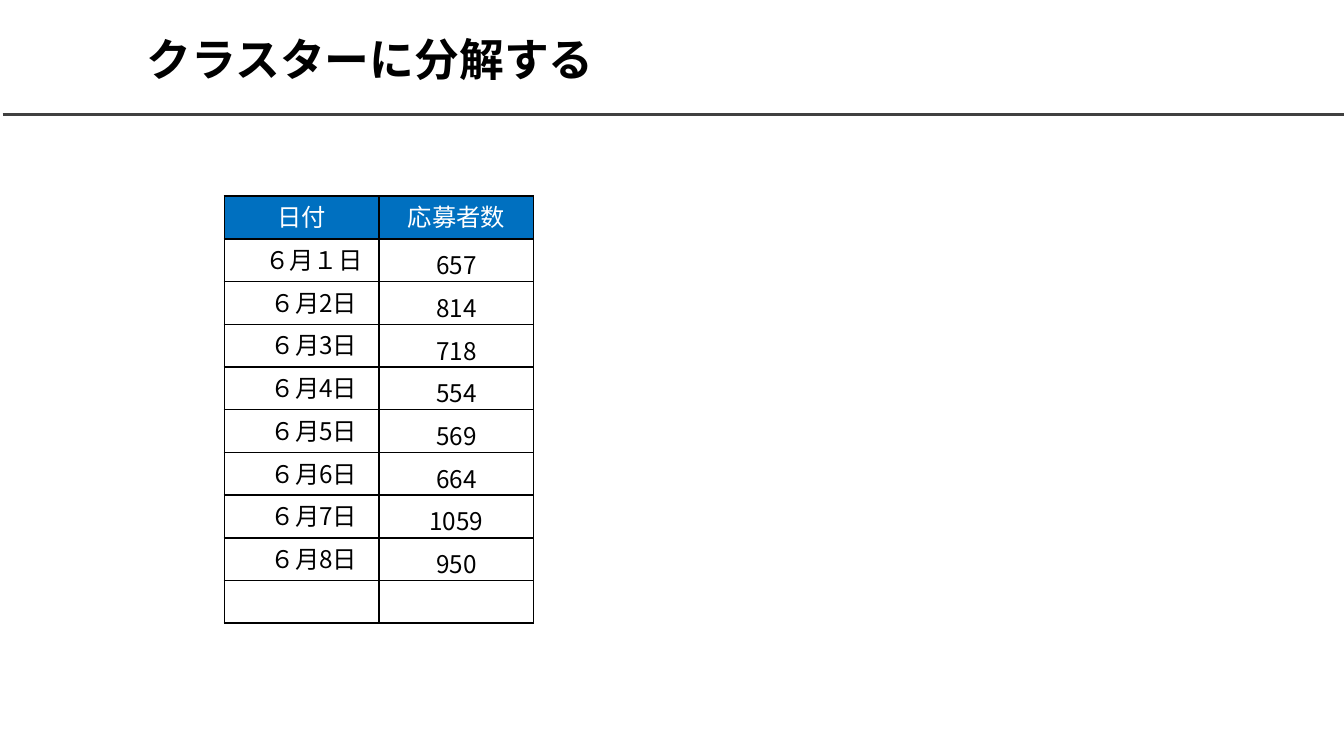
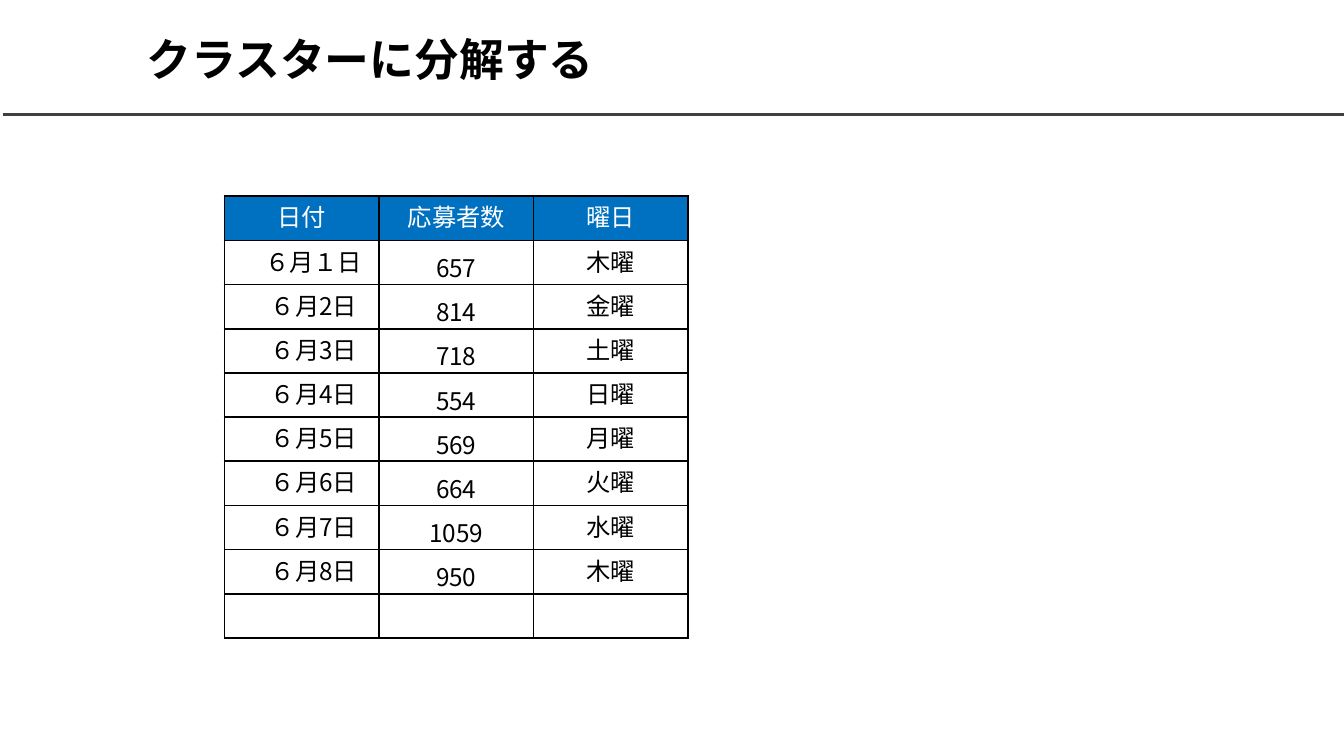
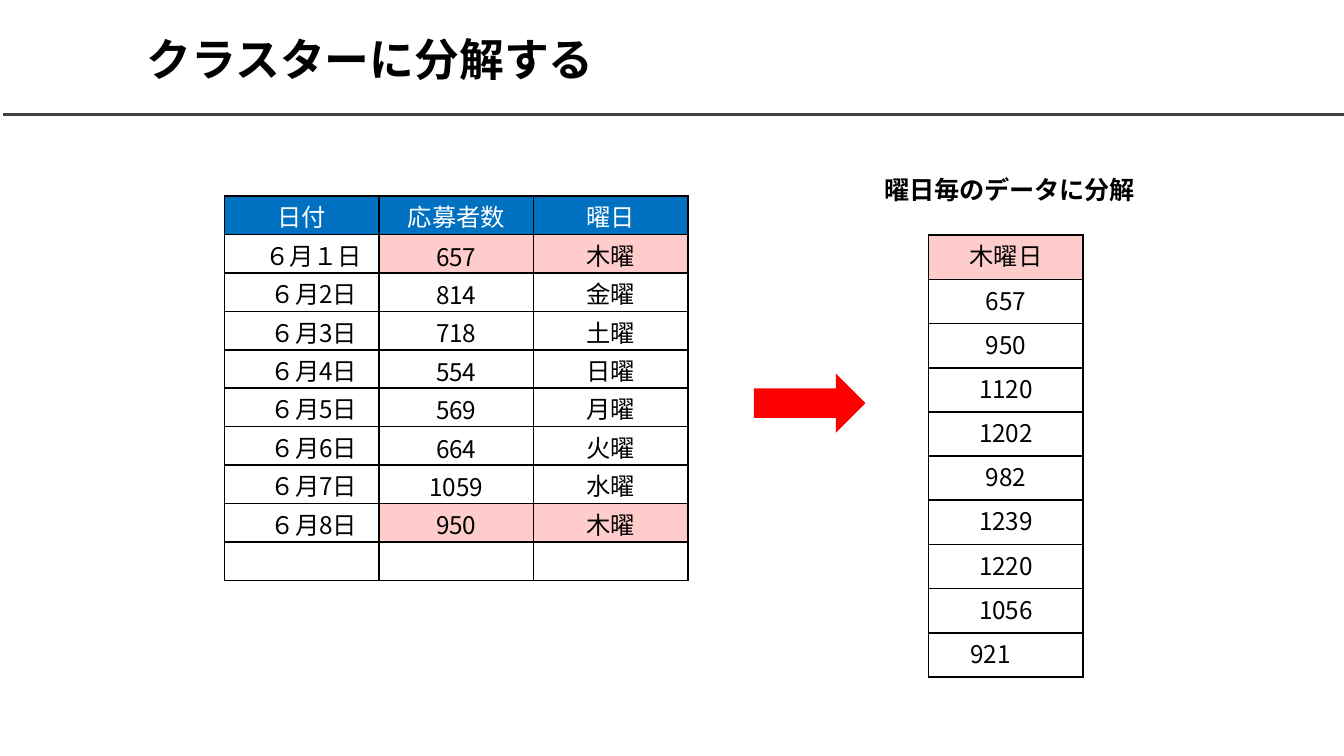
import dataclasses

import lxml.etree
import pptx
import pptx.dml.color
import pptx.enum.shapes
import pptx.enum.text
import pptx.oxml.ns
import pptx.util

Inches = pptx.util.Inches
Pt = pptx.util.Pt
qn = pptx.oxml.ns.qn
RGB = pptx.dml.color.RGBColor.from_string
ALIGN = pptx.enum.text.PP_ALIGN
ANCHOR = pptx.enum.text.MSO_ANCHOR
SHAPE = pptx.enum.shapes.MSO_SHAPE


@dataclasses.dataclass(frozen=True)
class Theme:
    font: str = "Noto Sans CJK JP"
    ink: str = "000000"
    white: str = "FFFFFF"
    rule: str = "404040"
    header: str = "0070C0"
    accent: str = "FF0000"
    tint: int = 20
    title_size: float = 24
    caption_size: float = 13.5
    cell_size: float = 13


THEME = Theme()
TITLE = "クラスターに分解する"
HEADERS = ["日付", "応募者数", "曜日"]
APPLICANTS = [657, 814, 718, 554, 569, 664, 1059, 950]
DAYS = ["１", *"2345678"]
WEEKDAYS = "木金土日月火水木"
DAILY = [
    [f"　６月{day}日", str(count), f"{weekday}曜"]
    for day, count, weekday in zip(DAYS, APPLICANTS, WEEKDAYS)
]
THURSDAYS = [657, 950, 1120, 1202, 982, 1239, 1220, 1056, 921]
COL_WIDTH = 1.15
BORDER_WIDTH = 1


def write(tf, text, size=THEME.cell_size, color=THEME.ink, bold=False,
          align=ALIGN.LEFT):
    p = tf.paragraphs[0]
    p.alignment = align
    r = p.add_run()
    r.text = text
    r.font.size = Pt(size)
    r.font.bold = bold
    r.font.name = THEME.font
    r.font.color.rgb = RGB(color)
    ea = lxml.etree.SubElement(r.font._element, qn("a:ea"))
    ea.set("typeface", THEME.font)


def add_borders(cell):
    tc_pr = cell._tc.get_or_add_tcPr()
    for side in ("a:lnL", "a:lnR", "a:lnT", "a:lnB"):
        ln = lxml.etree.SubElement(tc_pr, qn(side), w=str(Pt(BORDER_WIDTH)))
        fill = lxml.etree.SubElement(ln, qn("a:solidFill"))
        lxml.etree.SubElement(fill, qn("a:srgbClr"), val=THEME.ink)


def fill_cell(cell, color=None, opacity=100):
    if color is None:
        cell.fill.background()
        return
    cell.fill.solid()
    cell.fill.fore_color.rgb = RGB(color)
    if opacity < 100:
        clr = cell._tc.tcPr.find(qn("a:solidFill")).find(qn("a:srgbClr"))
        lxml.etree.SubElement(clr, qn("a:alpha"), val=str(opacity * 1000))


def set_margins(cell, left=0.06, top=0.02, right=0.06, bottom=0):
    cell.margin_left, cell.margin_top = Inches(left), Inches(top)
    cell.margin_right, cell.margin_bottom = Inches(right), Inches(bottom)


def add_grid(s, left, top, height, rows, cols):
    frame = s.shapes.add_table(rows, cols, Inches(left), Inches(top),
                               Inches(COL_WIDTH * cols), Inches(height))
    table = frame.table
    table.first_row = table.horz_banding = False
    for row in table.rows:
        row.height = Inches(height / rows)
    for cell in table.iter_cells():
        add_borders(cell)
        fill_cell(cell)
        set_margins(cell)
    return table


def add_daily_table(s, left, top, height, cols, marked=""):
    table = add_grid(s, left, top, height, len(DAILY) + 2, cols)
    for j, header in enumerate(HEADERS[:cols]):
        cell = table.cell(0, j)
        fill_cell(cell, THEME.header)
        write(cell.text_frame, header, color=THEME.white, align=ALIGN.CENTER)
    for i, record in enumerate(DAILY, 1):
        for j, text in enumerate(record[:cols]):
            cell = table.cell(i, j)
            if j == 1:
                set_margins(cell, 0, 0, 0, 0)
                cell.vertical_anchor = ANCHOR.BOTTOM
            if j > 0 and record[2] == marked:
                fill_cell(cell, THEME.accent, THEME.tint)
            write(cell.text_frame, text, align=ALIGN.CENTER)
    for j in range(cols):
        p = table.cell(len(DAILY) + 1, j).text_frame.paragraphs[0]
        lxml.etree.SubElement(p._p, qn("a:endParaRPr"),
                              sz=str(THEME.cell_size * 100))


def add_weekday_table(s, left, top, height):
    texts = ["木曜日", *map(str, THURSDAYS)]
    table = add_grid(s, left, top, height, len(texts), 1)
    for i, text in enumerate(texts):
        write(table.cell(i, 0).text_frame, text,
              align=ALIGN.CENTER if i < len(texts) - 1 else ALIGN.LEFT)
    fill_cell(table.cell(0, 0), THEME.accent, THEME.tint)
    set_margins(table.cell(len(texts) - 1, 0), left=0.31)


def add_caption(s, left, top, width, height):
    sp = s.shapes.add_textbox(Inches(left), Inches(top),
                              Inches(width), Inches(height))
    sp.text_frame.word_wrap = False
    write(sp.text_frame, "曜日毎のデータに分解", size=THEME.caption_size, bold=True)


def add_arrow(s, left, top, width, height):
    sp = s.shapes.add_shape(SHAPE.RIGHT_ARROW, Inches(left), Inches(top),
                            Inches(width), Inches(height))
    sp.shadow.inherit = False
    sp.fill.solid()
    sp.fill.fore_color.rgb = RGB(THEME.accent)
    sp.line.fill.background()


def add_rule(s, left, top, width):
    line = s.shapes.add_connector(
        pptx.enum.shapes.MSO_CONNECTOR.STRAIGHT,
        Inches(left), Inches(top), Inches(left + width), Inches(top))
    line.line.color.rgb = RGB(THEME.rule)
    line.line.width = Pt(1.5)
    lxml.etree.SubElement(line._element.spPr, qn("a:effectLst"))


def add_titled_slide(prs):
    s = prs.slides.add_slide(prs.slide_layouts.get_by_name("Title Only"))
    add_rule(s, 0.02, 0.85, 10)
    sp = s.shapes.title
    sp.left, sp.top = Inches(0.99), Inches(0.12)
    sp.width, sp.height = Inches(8.67), Inches(0.63)
    sp.text_frame.vertical_anchor = ANCHOR.MIDDLE
    write(sp.text_frame, TITLE, size=THEME.title_size, bold=True)
    return s


def main():
    prs = pptx.Presentation()
    prs.slide_width = Inches(10)
    prs.slide_height = prs.slide_width * 9 // 16

    s = add_titled_slide(prs)
    add_daily_table(s, 1.67, 1.46, 3.18, cols=2)

    s = add_titled_slide(prs)
    add_daily_table(s, 1.67, 1.46, 3.29, cols=3)

    s = add_titled_slide(prs)
    add_weekday_table(s, 6.91, 1.75, 3.29)
    add_caption(s, 6.48, 1.25, 2.07, 0.56)
    add_daily_table(s, 1.67, 1.46, 2.86, cols=3, marked="木曜")
    add_arrow(s, 5.61, 2.78, 0.83, 0.44)

    prs.save("out.pptx")


if __name__ == "__main__":
    main()
